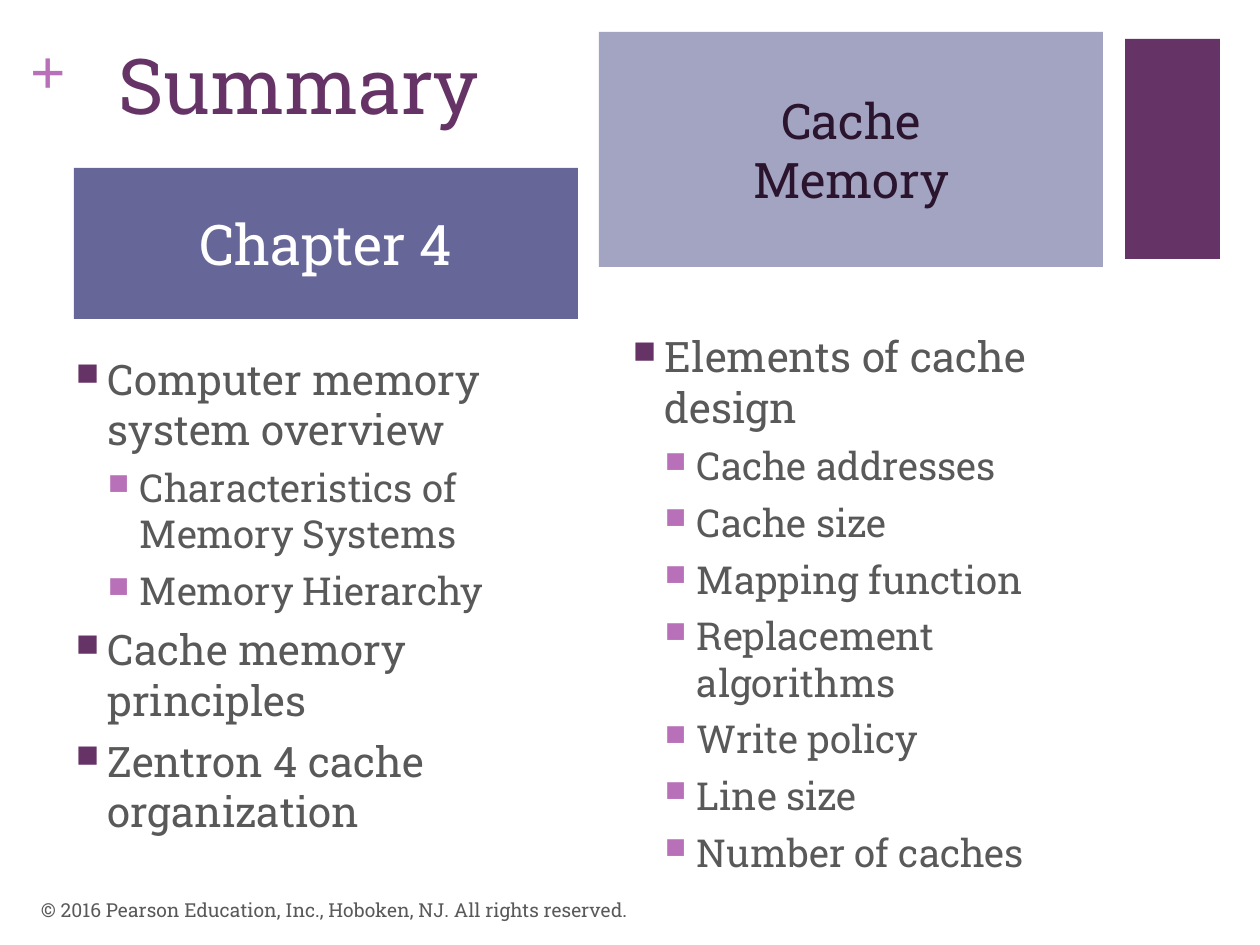
from lxml import etree
from pptx import Presentation
from pptx.dml.color import RGBColor
from pptx.enum.shapes import MSO_SHAPE
from pptx.enum.text import MSO_ANCHOR, PP_ALIGN
from pptx.oxml.ns import qn
from pptx.util import Emu, Pt

RECT = MSO_SHAPE.RECTANGLE
TOP, MIDDLE = MSO_ANCHOR.TOP, MSO_ANCHOR.MIDDLE
LEFT, CENTER = PP_ALIGN.LEFT, PP_ALIGN.CENTER

EMU_PER_PX = 914400 / 126
FONT = "Roboto Slab"
PLUM, ORCHID, GRAY = "663366", "B870B8", "595959"
INDENT = 32
# Per outline level: text size and bullet colour
LEVELS = [(24, PLUM), (22, ORCHID)]

OVERVIEW = [
    (0, "Computer memory system overview"),
    (1, "Characteristics of Memory Systems"),
    (1, "Memory Hierarchy"),
    (0, "Cache memory principles"),
    (0, "Zentron 4 cache organization"),
]
DESIGN = [
    (0, "Elements of cache design"),
    (1, "Cache addresses"),
    (1, "Cache size"),
    (1, "Mapping function"),
    (1, "Replacement algorithms"),
    (1, "Write policy"),
    (1, "Line size"),
    (1, "Number of caches"),
]


def px(n):
    return Emu(round(n * EMU_PER_PX))


def rgb(color):
    return RGBColor.from_string(color)


def add_text(p, text, size, color, font=FONT, bold=False, align=LEFT):
    p.alignment = align
    r = p.add_run()
    r.text = text
    r.font.size = Pt(size)
    r.font.name = font
    r.font.bold = bold
    r.font.color.rgb = rgb(color)


def set_frame(tf, anchor=TOP, inset_x=13, inset_y=6):
    tf.word_wrap = True
    tf.vertical_anchor = anchor
    tf.margin_left = tf.margin_right = px(inset_x)
    tf.margin_top = tf.margin_bottom = px(inset_y)


def add_box(s, box, **frame):
    """Add an empty text box and return its text frame."""
    tf = s.shapes.add_textbox(*map(px, box)).text_frame
    set_frame(tf, **frame)
    return tf


def add_panel(s, box, fill, lines=(), size=28, color="FFFFFF"):
    """Add a filled rectangle with centred lines of text."""
    sp = s.shapes.add_shape(RECT, *map(px, box))
    sp.shadow.inherit = False
    sp.fill.solid()
    sp.fill.fore_color.rgb = rgb(fill)
    sp.line.fill.background()
    tf = sp.text_frame
    set_frame(tf, anchor=MIDDLE, inset_y=0)
    for i, line in enumerate(lines):
        p = tf.add_paragraph() if i else tf.paragraphs[0]
        add_text(p, line, size, color, align=CENTER)


def set_bullet(p, level, color):
    pPr = p._p.get_or_add_pPr()
    pPr.set("marL", str(px(INDENT * (level + 1))))
    pPr.set("indent", str(-px(INDENT)))
    bu_clr = etree.SubElement(pPr, qn("a:buClr"))
    etree.SubElement(bu_clr, qn("a:srgbClr"), val=color)
    etree.SubElement(pPr, qn("a:buSzPct"), val="75000")
    etree.SubElement(pPr, qn("a:buChar"), char="■")


def add_outline(s, box, items):
    tf = add_box(s, box)
    for i, (level, text) in enumerate(items):
        p = tf.add_paragraph() if i else tf.paragraphs[0]
        size, bullet_color = LEVELS[level]
        p.level = level
        set_bullet(p, level, bullet_color)
        p.space_before = Pt(6 if i else 0)
        add_text(p, text, size, GRAY)


def main():
    prs = Presentation()
    prs.slide_width, prs.slide_height = px(1260), px(945)
    s = prs.slides.add_slide(prs.slide_layouts[6])

    add_panel(s, (1125, 39, 95, 220), PLUM)
    plus = add_box(s, (30, 32, 37, 77), inset_x=0, inset_y=0)
    add_text(plus.paragraphs[0], "+", 36, ORCHID, font="Times New Roman", bold=True)
    title = add_box(s, (105, 32, 472, 154))
    add_text(title.paragraphs[0], "Summary", 44, PLUM)

    add_outline(s, (63, 347, 504, 598), OVERVIEW)
    add_outline(s, (620, 325, 525, 620), DESIGN)
    add_panel(s, (74, 168, 504, 151), "666699", ["Chapter 4"], size=32)
    add_panel(s, (599, 32, 504, 235), "A3A3C2", ["Cache", "Memory"], color="2B142D")

    footer = add_box(s, (28, 885, 844, 50), anchor=MIDDLE)
    add_text(footer.paragraphs[0],
             "© 2016 Pearson Education, Inc., Hoboken, NJ. All rights reserved.",
             11, GRAY)

    prs.save("out.pptx")


if __name__ == "__main__":
    main()
